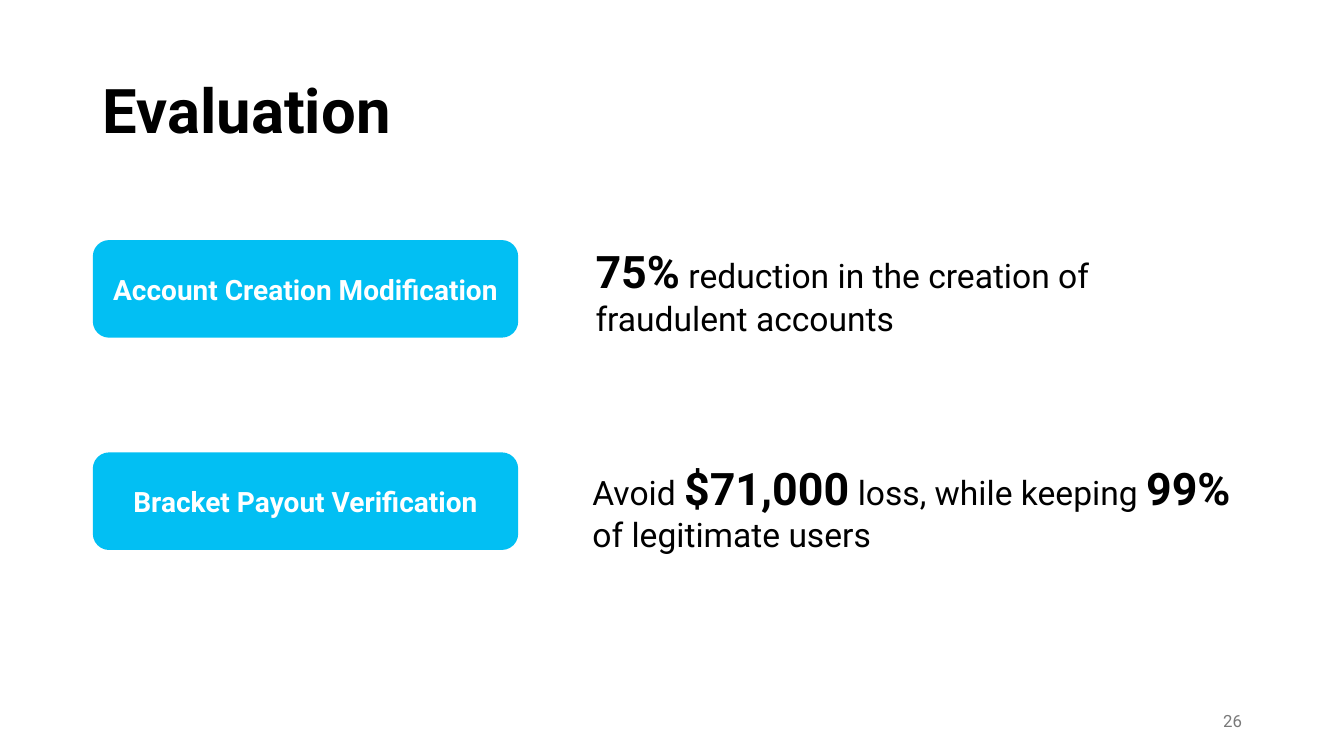
from dataclasses import dataclass

from pptx import Presentation
from pptx.dml.color import RGBColor as Rgb
from pptx.enum.shapes import MSO_SHAPE as Shape
from pptx.enum.text import MSO_ANCHOR as Anchor, PP_ALIGN as Align
from pptx.util import Cm, Pt


@dataclass(frozen=True)
class Theme:
    font: str = "Roboto"
    ink: str = "000000"
    sky: str = "02BFF3"
    pale: str = "FFFFFF"
    gray: str = "797979"
    head: int = 44
    big: int = 32
    body: int = 24
    label: int = 20
    foot: int = 12


THEME = Theme()
LEFT = 2.34


def add_run(para, text, size=THEME.body, color=THEME.ink, bold=False):
    run = para.add_run()
    run.text = text
    font = run.font
    font.name, font.size, font.bold = THEME.font, Pt(size), bold
    font.color.rgb = Rgb.from_string(color)


def set_frame(shape, anchor, align):
    frame = shape.text_frame
    frame.word_wrap = True
    frame.vertical_anchor = anchor
    para = frame.paragraphs[0]
    para.alignment = align
    return para


def add_box(slide, area, anchor=Anchor.MIDDLE, align=Align.LEFT):
    box = slide.shapes.add_textbox(*map(Cm, area))
    return set_frame(box, anchor, align)


def add_label(slide, top, text):
    area = map(Cm, (LEFT, top, 10.72, 2.46))
    label = slide.shapes.add_shape(Shape.ROUNDED_RECTANGLE, *area)
    label.shadow.inherit = False
    label.fill.solid()
    label.fill.fore_color.rgb = Rgb.from_string(THEME.sky)
    label.line.fill.background()
    para = set_frame(label, Anchor.MIDDLE, Align.CENTER)
    add_run(para, text, size=THEME.label, color=THEME.pale, bold=True)


def add_claim(slide, area, parts):
    para = add_box(slide, area, anchor=Anchor.TOP)
    for text, strong in parts:
        size = THEME.big if strong else THEME.body
        add_run(para, text, size=size, bold=strong)


def main():
    deck = Presentation()
    deck.slide_width, deck.slide_height = Cm(33.87), Cm(19.05)
    slide = deck.slides.add_slide(deck.slide_layouts[6])

    title = add_box(slide, (LEFT, 1.02, 29.21, 3.68))
    title.line_spacing = 0.9
    add_run(title, "Evaluation", size=THEME.head, bold=True)

    rows = (
        (6.05, "Account Creation Modification", (14.76, 6.02, 16.18, 2.64), (
            ("75%", True),
            (" reduction in the creation of fraudulent accounts", False),
        )),
        (11.4, "Bracket Payout Verification", (14.68, 11.48, 16.84, 3), (
            ("Avoid ", False),
            ("$71,000", True),
            (" loss, while keeping ", False),
            ("99%", True),
            (" of legitimate users", False),
        )),
    )
    for top, name, area, parts in rows:
        add_label(slide, top, name)
        add_claim(slide, area, parts)

    page = add_box(slide, (23.93, 17.65, 7.62, 1.02), align=Align.RIGHT)
    add_run(page, "26", size=THEME.foot, color=THEME.gray)
    deck.save("out.pptx")


if __name__ == "__main__":
    main()
